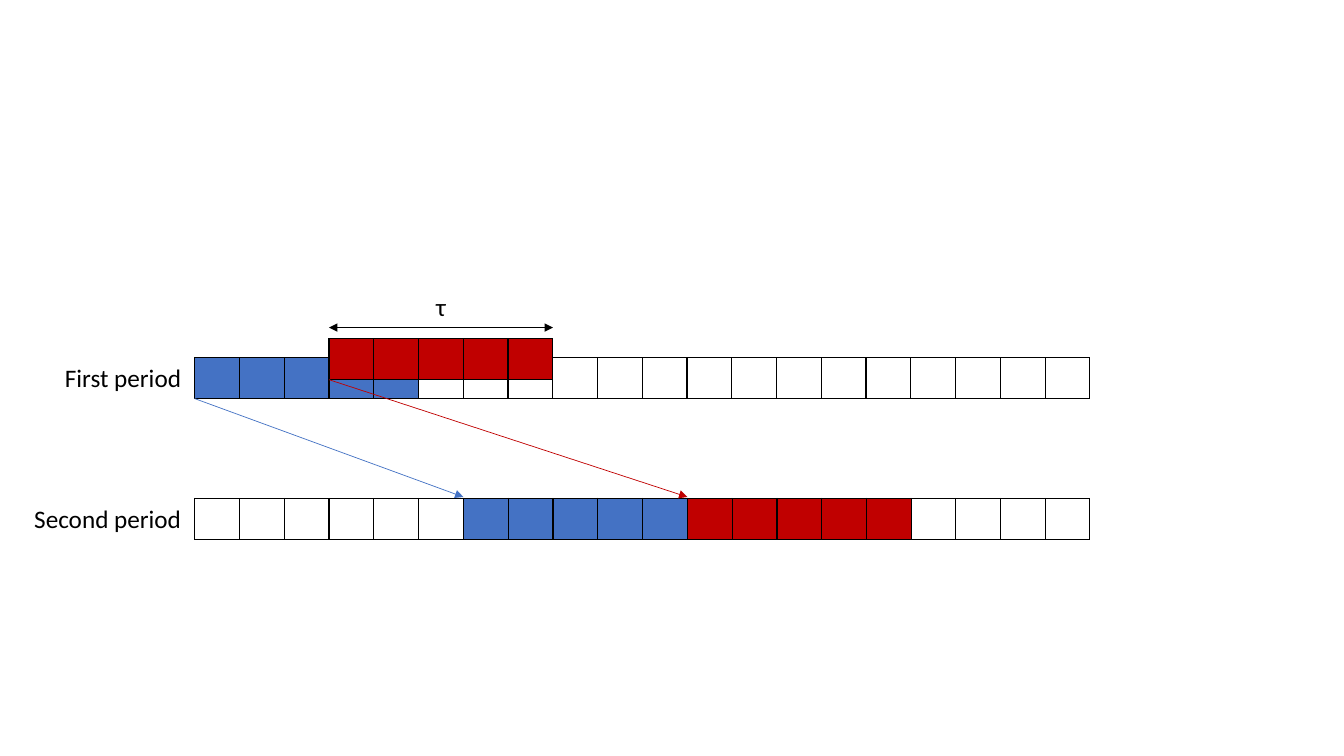
from lxml.etree import SubElement
from pptx import Presentation
from pptx.dml.color import RGBColor
from pptx.enum.shapes import MSO_CONNECTOR
from pptx.enum.text import PP_ALIGN
from pptx.oxml.ns import qn
from pptx.util import Pt

BLACK = RGBColor(0x00, 0x00, 0x00)
WHITE = RGBColor(0xFF, 0xFF, 0xFF)
BLUE = RGBColor(0x44, 0x72, 0xC4)
RED = RGBColor(0xC0, 0x00, 0x00)

TIMELINE_LEFT, SLOT_WIDTH, SLOT_HEIGHT = 139, 32, 29.2
PERIOD_SLOTS, TASK_SLOTS = 20, 5
FIRST_TOP, SECOND_TOP = 255.5, 356
RED_TOP = 242
TAU_Y = 234
ARROW_END_Y = SECOND_TOP - 1
LABEL_LEFT, LABEL_WIDTH = 16.5, 120


def slot_x(slot):
    """Return the left edge of a time slot in points."""
    return TIMELINE_LEFT + slot * SLOT_WIDTH


class ScheduleSlide:
    """Holds the slide and its style, and draws the schedule's elements."""

    font_name = "Calibri"
    font_size = Pt(18)
    border_width = Pt(1)
    arrow_width = Pt(0.5)

    def __init__(self, slide):
        """Keep the slide to draw on."""
        self.slide = slide

    def slots(self, first_slot, top, count, color):
        """Draw a run of bordered time slots as a one-row table."""
        frame = self.slide.shapes.add_table(
            1, count, Pt(slot_x(first_slot)), Pt(top),
            Pt(count * SLOT_WIDTH), Pt(SLOT_HEIGHT))
        frame.table.first_row = False
        frame.table.horz_banding = False
        for cell in frame.table.iter_cells():
            self.border(cell)
            cell.fill.solid()
            cell.fill.fore_color.rgb = color
            cell.text_frame.paragraphs[0].font.size = self.font_size

    def border(self, cell):
        """Give a cell a black line on all four sides."""
        properties = cell._tc.get_or_add_tcPr()
        for side in ("a:lnL", "a:lnR", "a:lnT", "a:lnB"):
            line = SubElement(properties, qn(side), w=str(self.border_width))
            fill = SubElement(line, qn("a:solidFill"))
            SubElement(fill, qn("a:srgbClr"), val=str(BLACK))

    def label(self, text, left, top, width, align):
        """Write a one-line label."""
        box = self.slide.shapes.add_textbox(
            Pt(left), Pt(top), Pt(width), Pt(SLOT_HEIGHT))
        box.text_frame.word_wrap = False
        box.text_frame.text = text
        paragraph = box.text_frame.paragraphs[0]
        paragraph.alignment = align
        font = paragraph.runs[0].font
        font.name = self.font_name
        font.size = self.font_size
        font.color.rgb = BLACK

    def arrow(self, start, end, color, ends=("a:tailEnd",)):
        """Draw a thin arrow with triangles at the given line ends."""
        connector = self.slide.shapes.add_connector(
            MSO_CONNECTOR.STRAIGHT, *map(Pt, start + end))
        connector.line.color.rgb = color
        connector.line.width = self.arrow_width
        line = connector.line._get_or_add_ln()
        for line_end in ends:
            SubElement(line, qn(line_end), type="triangle")
        SubElement(connector._element.spPr, qn("a:effectLst"))


def main():
    """Build and save the two-period schedule."""
    deck = Presentation()
    deck.slide_width, deck.slide_height = Pt(960), Pt(540)
    schedule = ScheduleSlide(deck.slides.add_slide(deck.slide_layouts[6]))

    # Each period: name, top, then the tasks as (first slot, top, color)
    periods = [
        ("First period", FIRST_TOP,
         [(0, FIRST_TOP, BLUE), (3, RED_TOP, RED)]),
        ("Second period", SECOND_TOP,
         [(6, SECOND_TOP, BLUE), (11, SECOND_TOP, RED)]),
    ]
    for name, top, tasks in periods:
        schedule.slots(0, top, PERIOD_SLOTS, WHITE)
        for first_slot, task_top, color in tasks:
            schedule.slots(first_slot, task_top, TASK_SLOTS, color)
        schedule.label(name, LABEL_LEFT, top, LABEL_WIDTH, PP_ALIGN.RIGHT)

    # Each task moves from its first-period slot to its second-period slot
    first_tasks, second_tasks = (tasks for _, _, tasks in periods)
    for (source, top, color), (target, _, _) in zip(first_tasks, second_tasks):
        schedule.arrow((slot_x(source), top + SLOT_HEIGHT),
                       (slot_x(target), ARROW_END_Y), color)

    tau_start, tau_end = slot_x(3), slot_x(3 + TASK_SLOTS)
    schedule.arrow((tau_start, TAU_Y), (tau_end, TAU_Y), BLACK,
                   ("a:headEnd", "a:tailEnd"))
    schedule.label("τ", tau_start, TAU_Y - SLOT_HEIGHT,
                   tau_end - tau_start, PP_ALIGN.CENTER)

    deck.save("out.pptx")


main()
